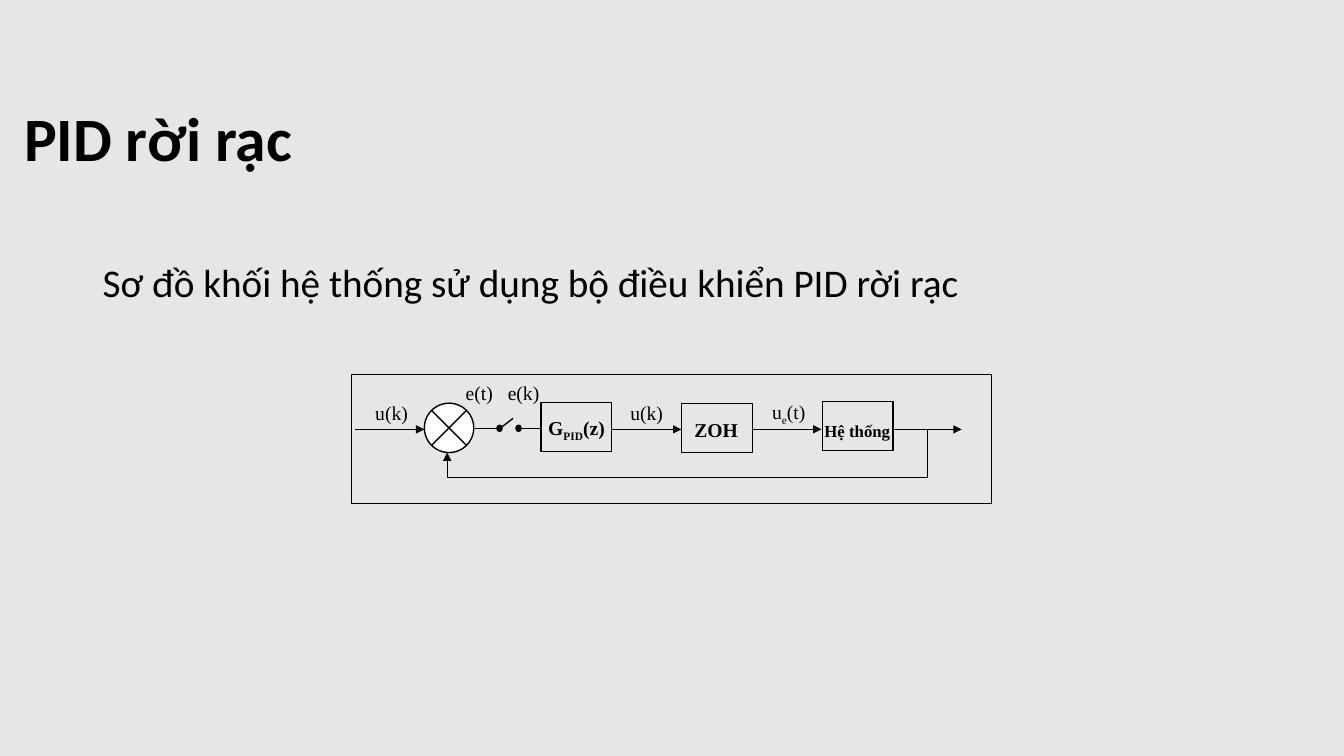
from pptx import Presentation
from pptx.dml import color
from pptx.enum import shapes, text
from pptx.oxml import ns, parse_xml
from pptx.util import Pt

BLACK, WHITE, GREY = "000000", "FFFFFF", "E7E6E6"
kinds = shapes.MSO_SHAPE
DRAWING = ns.nsdecls("a")


def paint(target, code):
    """Give a fill, or the fill of a line, one solid hex colour."""
    target.solid()
    target.fore_color.rgb = color.RGBColor.from_string(code)


def write(frame, spans, values, align, spacing):
    """Put (words, baseline) spans in the first paragraph of a frame."""
    para = frame.paragraphs[0]
    para.alignment, para.line_spacing = align, spacing
    for words, baseline in spans:
        span = para.add_run()
        span.text = words
        for name, value in values.items():
            setattr(span.font, name, value)
        paint(span.font.fill, BLACK)
        if baseline:
            span.font._element.set("baseline", str(baseline))
    return para


# Page
deck = Presentation()
deck.slide_width, deck.slide_height = Pt(960), Pt(540)
page = deck.slides.add_slide(deck.slide_layouts[1])
paint(page.background.fill, GREY)

# Title and body
left, center = text.PP_ALIGN.LEFT, text.PP_ALIGN.CENTER
title, body = page.shapes.title, page.placeholders[1]
for holder, place in ((title, (10, 49, 828, 104.4)), (body, (66.2, 144, 828, 342.7))):
    for side, length in zip(("left", "top", "width", "height"), place):
        setattr(holder, side, Pt(length))
title.text_frame.vertical_anchor = text.MSO_ANCHOR.MIDDLE
write(title.text_frame, [("PID rời rạc", 0)],
      {"name": "Calibri", "size": Pt(44), "bold": True}, left, 0.9)
body.text_frame.margin_top = Pt(44.4)
para = write(body.text_frame, [("Sơ đồ khối hệ thống sử dụng bộ điều khiển PID rời rạc", 0)],
             {"name": "Calibri", "size": Pt(28)}, left, 0.9)
para.space_before = Pt(0)
bullet = para._p.get_or_add_pPr()
bullet.set("marL", "0")
bullet.set("indent", "0")
bullet.append(parse_xml(f"<a:buNone {DRAWING}/>"))

# Frame, blocks, switch contacts and summing junction
diagram = page.shapes.add_group_shape().shapes
outlines = [(kinds.RECTANGLE, 251.3, 267.8, 457.2, 92.2, None, 0.75)]
for index, top in enumerate((287.3, 288, 286.6)):
    outlines.append((kinds.RECTANGLE, 386.6 + 100.4 * index, top, 50.4, 35.3, None, 1))
for contact in (355, 368.6):
    outlines.append((kinds.OVAL, contact, 303.8, 3.6, 4.3, BLACK, 1))
outlines.append((kinds.FLOWCHART_SUMMING_JUNCTION, 303.1, 288, 35.3, 35.3, WHITE, 1))
for kind, x, y, width, height, fill, weight in outlines:
    box = diagram.add_shape(kind, Pt(x), Pt(y), Pt(width), Pt(height))
    box.shadow.inherit = False
    if fill:
        paint(box.fill, fill)
    else:
        box.fill.background()
    paint(box.line.fill, BLACK)
    box.line.width = Pt(weight)

# Signal arrows, feedback loop and switch
straight, elbow = shapes.MSO_CONNECTOR.STRAIGHT, shapes.MSO_CONNECTOR.ELBOW
links = [(straight, x, 306.7, x + 49.7, 306.7, 0.5)
         for x in (253.4, 437, 537.1, 637.2)]
links += [
    (elbow, 319.4, 306.7, 663.1, 323.3, 0.5),
    (straight, 339.1, 306, 355.7, 306, 1),
    (straight, 370.8, 306, 387.4, 306, 1),
    (straight, 357.1, 306, 366.5, 298.8, 1),
]
for kind, x1, y1, x2, y2, weight in links:
    link = diagram.add_connector(kind, Pt(x1), Pt(y1), Pt(x2), Pt(y2))
    paint(link.line.fill, BLACK)
    link.line.width = Pt(weight)
    properties = link._element.spPr
    if weight == 0.5:
        link.line._get_or_add_ln().append(parse_xml(f'<a:tailEnd {DRAWING} type="triangle"/>'))
    properties.append(parse_xml(f"<a:effectLst {DRAWING}/>"))
    if kind == elbow:
        # The feedback runs from the output, below the blocks, up to the junction
        properties.xfrm.set("rot", "10800000")
        properties.xfrm.set("flipV", "1")
        properties.replace(properties.find(ns.qn("a:prstGeom")), parse_xml(
            f'<a:prstGeom {DRAWING} prst="bentConnector4"><a:avLst>'
            '<a:gd name="adj1" fmla="val 200"/><a:gd name="adj2" fmla="val 207200"/>'
            "</a:avLst></a:prstGeom>"))

# Block names and signal labels
labels = [
    ([("Hệ thống", 0)], 581.8, 295.9, 73.4, 12, True, left),
    ([("u", 0), ("e", -25000), ("(t)", 0)], 540, 280.8, 46.8, 14, False, center),
    ([("ZOH", 0)], 488.2, 293.8, 46.8, 14, True, center),
    ([("G", 0), ("PID", -25000), ("(z)", 0)], 384.5, 292.3, 59, 14, True, left),
    ([("u(k)", 0)], 438.5, 282.2, 46.8, 14, False, center),
    ([("u(k)", 0)], 256.3, 281.5, 46.8, 14, False, center),
    ([("e(k)", 0)], 350.6, 267.8, 46.8, 14, False, center),
    ([("e(t)", 0)], 319, 267.8, 46.8, 14, False, center),
]
for spans, x, y, width, size, bold, align in labels:
    label = diagram.add_textbox(Pt(x), Pt(y), Pt(width), Pt(24.5))
    label.text_frame.word_wrap = True
    values = {"name": "Times New Roman", "size": Pt(size), "bold": bold}
    write(label.text_frame, spans, values, align, 1.06)

deck.save("out.pptx")
